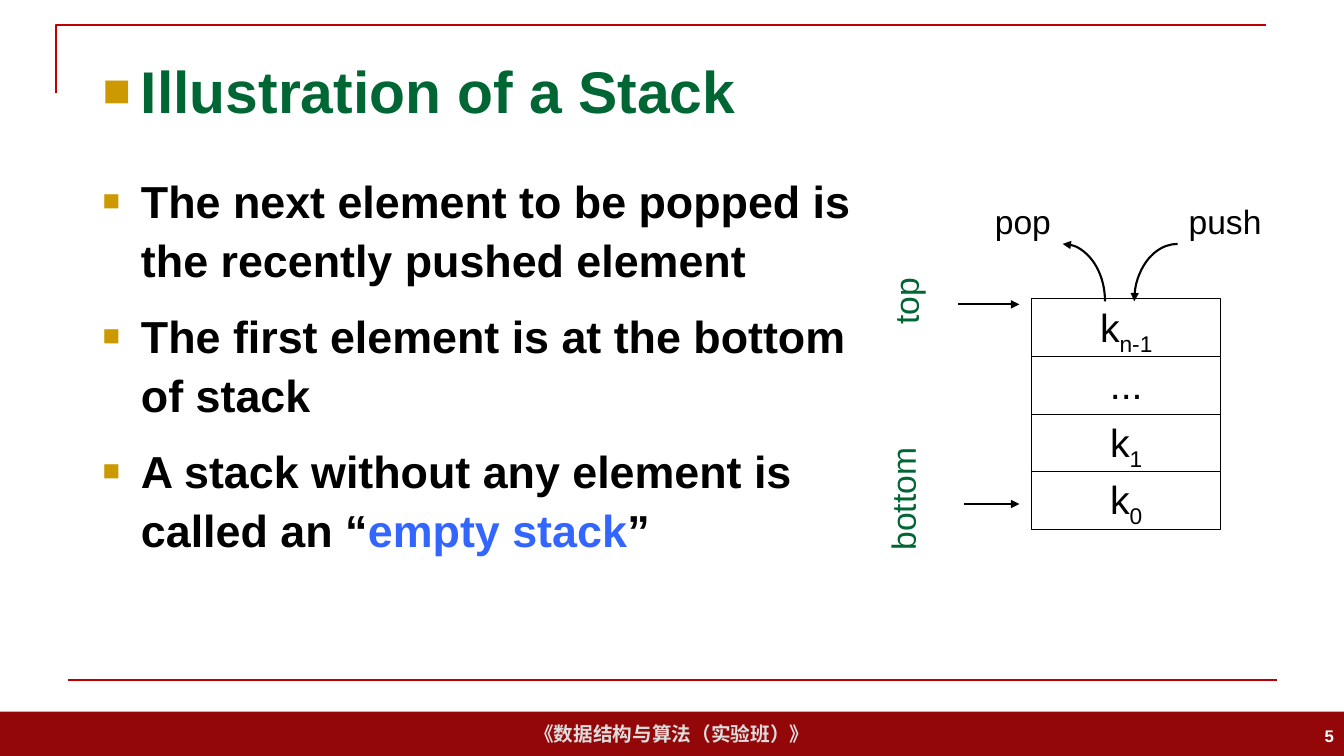
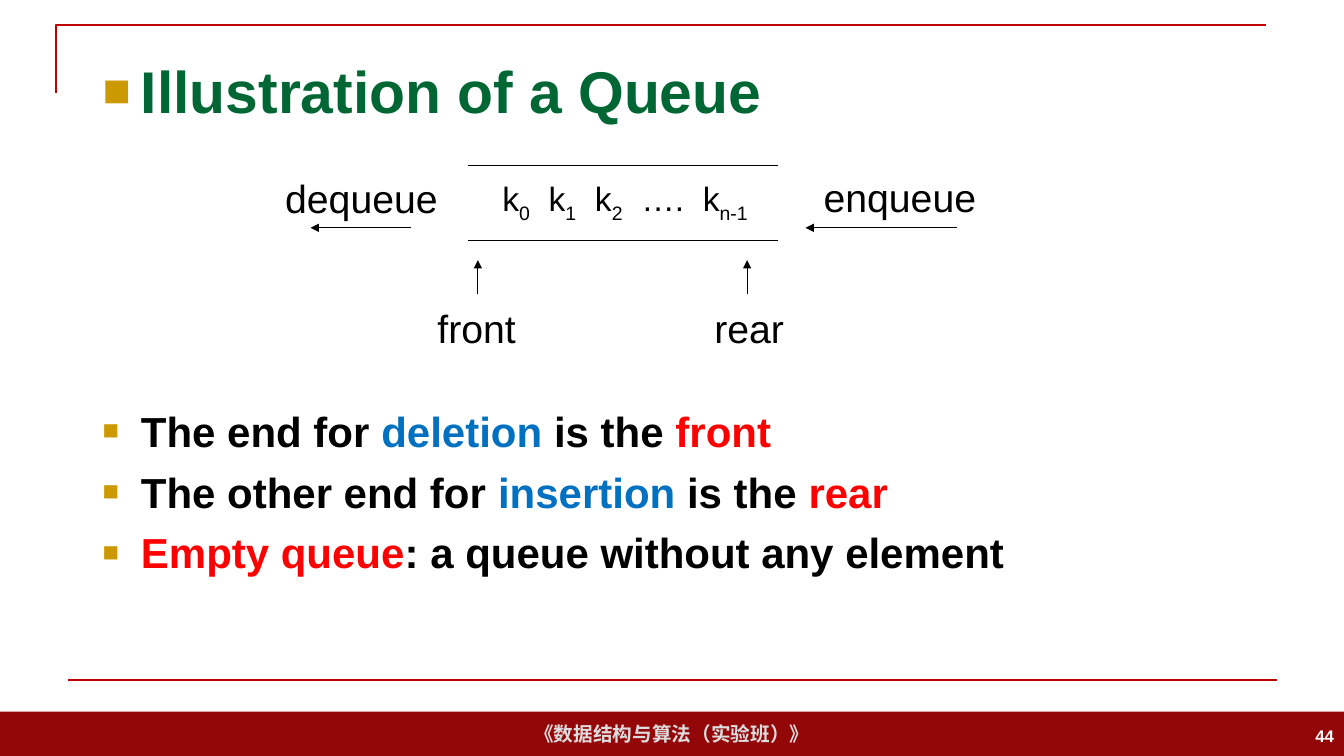
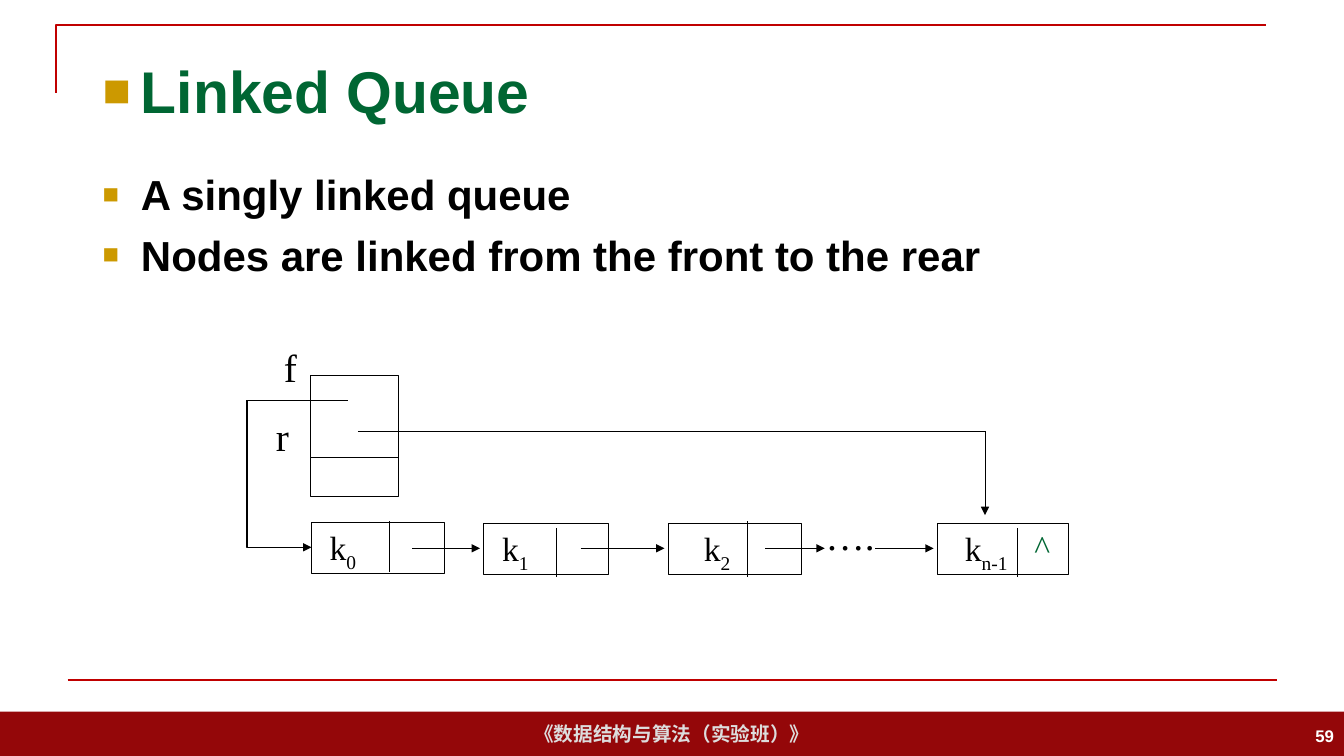
"""Build three slides that illustrate a stack, a queue and a linked queue."""

import dataclasses
import itertools

import pptx
import pptx.dml.color
import pptx.enum.shapes
import pptx.enum.text
import pptx.oxml.ns
import pptx.shapes.base
import pptx.shapes.connector
import pptx.slide
import pptx.text.text
import pptx.util
from lxml import etree

Inches = pptx.util.Inches
Pt = pptx.util.Pt
qn = pptx.oxml.ns.qn
ALIGN = pptx.enum.text.PP_ALIGN
ANCHOR = pptx.enum.text.MSO_ANCHOR
SHAPE = pptx.enum.shapes.MSO_SHAPE
CONNECTOR = pptx.enum.shapes.MSO_CONNECTOR

COLORS = {
    "white": "FFFFFF",
    "black": "000000",
    "band": "940709",
    "rule": "C00000",
    "footer": "DDDDDD",
    "bullet": "CC9900",
    "green": "006633",
    "periwinkle": "3366FF",
    "blue": "0070C0",
    "red": "FF0000",
}
COURSE = "《数据结构与算法（实验班）》"
SERIF = "Times New Roman"
SUBSCRIPT = "-25000"
LEAD = 0.1


@dataclasses.dataclass(frozen=True)
class Span:
    text: str
    color: str = ""
    subscript: bool = False
    tracking: int = 0


@dataclasses.dataclass(frozen=True)
class Style:
    size: float
    color: str = "black"
    font: str = "Arial"
    bold: bool = False
    align: ALIGN = ALIGN.LEFT
    anchor: ANCHOR = ANCHOR.TOP
    before: float = 0
    after: float = 0
    line_spacing: float = 1.0
    bullet_percent: int = 0
    wrap: bool = True


@dataclasses.dataclass(frozen=True)
class Area:
    left: float
    top: float
    width: float
    height: float

    def lengths(self) -> tuple[int, int, int, int]:
        return (Inches(self.left), Inches(self.top),
                Inches(self.width), Inches(self.height))


@dataclasses.dataclass(frozen=True)
class Segment:
    x1: float
    y1: float
    x2: float
    y2: float
    arrow: bool = False
    weight: float = 0.75
    color: str = "black"


@dataclasses.dataclass(frozen=True)
class Node:
    area: Area
    index: str
    text_inset: float
    divider: Segment


Line = list[Span]

TITLE = Style(42, "green", bold=True, anchor=ANCHOR.MIDDLE, bullet_percent=80)
FOOTER = Style(14, "footer", bold=True, align=ALIGN.CENTER,
               anchor=ANCHOR.MIDDLE, wrap=False)
PAGE_NUMBER = Style(12, "white", bold=True, align=ALIGN.RIGHT, anchor=ANCHOR.MIDDLE)
BODY = Style(30, bold=True, before=3, after=4.5, bullet_percent=65)
BODY_LOOSE = dataclasses.replace(BODY, size=32, before=6, after=6, line_spacing=1.1)


def label_style(size: float, align: ALIGN = ALIGN.LEFT, font: str = "Arial") -> Style:
    return Style(size, font=font, align=align, before=size * LEAD)


def rgb(name: str) -> pptx.dml.color.RGBColor:
    return pptx.dml.color.RGBColor.from_string(COLORS[name])


def add_bullet(paragraph: pptx.text.text._Paragraph, percent: int) -> None:
    properties = paragraph._p.get_or_add_pPr()
    properties.set("marL", str(Inches(0.38)))
    properties.set("indent", str(-Inches(0.38)))
    color = etree.SubElement(properties, qn("a:buClr"))
    etree.SubElement(color, qn("a:srgbClr"), val=COLORS["bullet"])
    etree.SubElement(properties, qn("a:buSzPct"), val=str(percent * 1000))
    etree.SubElement(properties, qn("a:buFont"), typeface="Arial")
    etree.SubElement(properties, qn("a:buChar"), char="■")


def write_paragraph(paragraph: pptx.text.text._Paragraph, line: Line, style: Style) -> None:
    paragraph.text = line[0].text
    for span in line[1:]:
        paragraph.add_run().text = span.text
    paragraph.alignment = style.align
    paragraph.line_spacing = style.line_spacing
    paragraph.space_before = Pt(style.before)
    paragraph.space_after = Pt(style.after)
    if style.bullet_percent:
        add_bullet(paragraph, style.bullet_percent)
    for run, span in zip(paragraph.runs, line):
        run.font.name = style.font
        run.font.size = Pt(style.size)
        run.font.bold = style.bold
        run.font.color.rgb = rgb(span.color or style.color)
        properties = run.font._element
        if span.subscript:
            properties.set("baseline", SUBSCRIPT)
        if span.tracking:
            properties.set("spc", str(span.tracking))


def write(box: pptx.shapes.base.BaseShape, lines: list[Line], style: Style) -> None:
    frame = box.text_frame
    frame.word_wrap = style.wrap
    frame.vertical_anchor = style.anchor
    for index, line in enumerate(lines):
        paragraph = frame.add_paragraph() if index else frame.paragraphs[0]
        write_paragraph(paragraph, line, style)


def add_text(page: pptx.slide.Slide, area: Area, lines: list[Line], style: Style,
             rotation: float = 0) -> None:
    box = page.shapes.add_textbox(*area.lengths())
    box.rotation = rotation
    write(box, lines, style)


def add_label(page: pptx.slide.Slide, area: Area, text: str, style: Style,
              rotation: float = 0) -> None:
    add_text(page, area, [[Span(text)]], style, rotation)


def add_box(page: pptx.slide.Slide, area: Area, fill: str = "white",
            outline: str = "black") -> pptx.shapes.base.BaseShape:
    box = page.shapes.add_shape(SHAPE.RECTANGLE, *area.lengths())
    box.shadow.inherit = False
    box.fill.solid()
    box.fill.fore_color.rgb = rgb(fill)
    box.line.color.rgb = rgb(outline)
    box.line.width = Pt(0.75)
    return box


def add_arrowhead(shape: pptx.shapes.base.BaseShape, end: str) -> None:
    outline = shape.element.spPr.find(qn("a:ln"))
    etree.SubElement(outline, qn(f"a:{end}End"), type="triangle")


def add_line(page: pptx.slide.Slide, segment: Segment,
             kind: CONNECTOR = CONNECTOR.STRAIGHT) -> pptx.shapes.connector.Connector:
    connector = page.shapes.add_connector(
        kind, Inches(segment.x1), Inches(segment.y1),
        Inches(segment.x2), Inches(segment.y2))
    connector.line.color.rgb = rgb(segment.color)
    connector.line.width = Pt(segment.weight)
    if segment.arrow:
        add_arrowhead(connector, "tail")
    etree.SubElement(connector.element.spPr, qn("a:effectLst"))
    return connector


def add_corner_arrow(page: pptx.slide.Slide, segment: Segment) -> None:
    width, height = segment.x2 - segment.x1, segment.y2 - segment.y1
    center_x, center_y = segment.x1 + width / 2, segment.y1 + height / 2
    turned = Segment(center_x + height / 2, center_y - width / 2,
                     center_x - height / 2, center_y + width / 2, arrow=True)
    properties = add_line(page, turned, CONNECTOR.ELBOW).element.spPr
    properties.find(qn("a:xfrm")).set("rot", "16200000")
    properties.find(qn("a:prstGeom")).set("prst", "bentConnector2")


def add_arc(page: pptx.slide.Slide, area: Area, start: int, end: int) -> None:
    arc = page.shapes.add_shape(SHAPE.ARC, *area.lengths())
    arc.adjustments[0] = start * 0.6
    arc.adjustments[1] = end * 0.6
    arc.shadow.inherit = False
    arc.fill.background()
    arc.line.color.rgb = rgb("black")
    arc.line.width = Pt(1.5)
    add_arrowhead(arc, "head")


def indexed(index: str) -> Line:
    return [Span("k"), Span(index, subscript=True)]


def add_page(deck: pptx.presentation.Presentation, title: str, number: int) -> pptx.slide.Slide:
    page = deck.slides.add_slide(deck.slide_layouts[6])
    band = add_box(page, Area(0, 7.06, 13.33, 0.44), "band", "band")
    band.line.fill.background()
    write(band, [[Span(COURSE)]], FOOTER)
    builder = page.shapes.build_freeform(Inches(0.56), Inches(0.92))
    builder.add_line_segments(
        [(Inches(0.56), Inches(0.25)), (Inches(12.56), Inches(0.25))], close=False)
    corner = builder.convert_to_shape()
    corner.shadow.inherit = False
    corner.fill.background()
    corner.line.color.rgb = rgb("rule")
    corner.line.width = Pt(1.5)
    add_line(page, Segment(0.67, 6.75, 12.67, 6.75, weight=1.5, color="rule"))
    add_label(page, Area(0.92, 0.4, 11.5, 0.99), title, TITLE)
    add_label(page, Area(10.33, 7.1, 3, 0.4), str(number), PAGE_NUMBER)
    return page


def add_stack_page(deck: pptx.presentation.Presentation) -> None:
    page = add_page(deck, "Illustration of a Stack", 5)
    add_text(page, Area(0.92, 1.62, 7.78, 5.15), [
        [Span("The next element to be popped is the recently pushed element")],
        [Span("The first element is at the bottom of stack")],
        [Span("A stack without any element is called an “"),
         Span("empty stack", "periwinkle"), Span("”")],
    ], BODY_LOOSE)
    cells = [indexed("0"), indexed("1"), [Span("...")], indexed("n-1")]
    for level, cell in enumerate(cells):
        box = add_box(page, Area(10.23, 4.67 - 0.57 * level, 1.88, 0.58))
        write(box, [cell], label_style(28, ALIGN.CENTER))
    side = Style(24, "green", wrap=False)
    add_label(page, Area(8.65, 2.73, 0.67, 0.51), "top", side, 270)
    add_label(page, Area(8.34, 4.69, 1.23, 0.51), "bottom", side, 270)
    add_line(page, Segment(9.5, 3.02, 10.11, 3.02, arrow=True, weight=1.5))
    add_line(page, Segment(9.56, 5, 10.11, 5, arrow=True, weight=1.5))
    add_arc(page, Area(10.12, 2.42, 0.84, 1.14), 270, 0)
    add_arc(page, Area(11.25, 2.42, 0.86, 1.14), 180, 270)
    add_label(page, Area(9.6, 1.94, 1.09, 0.5), "pop", label_style(24, ALIGN.CENTER))
    add_label(page, Area(11.64, 1.94, 1.02, 0.5), "push", label_style(24, ALIGN.CENTER))


def add_queue_page(deck: pptx.presentation.Presentation) -> None:
    page = add_page(deck, "Illustration of a Queue", 44)
    add_text(page, Area(0.92, 3.97, 11.5, 2.81), [
        [Span("The end for "), Span("deletion", "blue"),
         Span(" is the "), Span("front", "red")],
        [Span("The other end for "), Span("insertion", "blue"),
         Span(" is the "), Span("rear", "red")],
        [Span("Empty queue", "red"), Span(": a queue without any element")],
    ], BODY)
    for segment in (
        Segment(4.64, 1.64, 7.72, 1.64),
        Segment(4.64, 2.39, 7.72, 2.39),
        Segment(4.74, 2.92, 4.74, 2.58, arrow=True),
        Segment(7.41, 2.92, 7.41, 2.58, arrow=True),
        Segment(9.49, 2.26, 7.99, 2.26, arrow=True),
        Segment(4.08, 2.26, 3.08, 2.26, arrow=True),
    ):
        add_line(page, segment)
    add_label(page, Area(4.24, 2.97, 1, 0.67), "front", label_style(28))
    add_label(page, Area(6.93, 2.97, 1, 0.67), "rear", label_style(28, ALIGN.CENTER))
    add_label(page, Area(8.07, 1.67, 1.82, 0.57), "enqueue", label_style(28))
    add_label(page, Area(2.73, 1.68, 1.91, 0.57), "dequeue", label_style(28))
    gap = Span(" ", tracking=667)
    items = [indexed("0"), indexed("1"), indexed("2"), [Span("….")], indexed("n-1")]
    spaced = list(itertools.chain.from_iterable([gap, *item] for item in items))[1:]
    add_text(page, Area(4.64, 1.72, 3.12, 0.51), [spaced], label_style(24, ALIGN.CENTER))


def add_node(page: pptx.slide.Slide, node: Node) -> None:
    box = add_box(page, node.area)
    box.text_frame.margin_left = Inches(node.text_inset)
    write(box, [indexed(node.index)], label_style(24, font=SERIF))
    add_line(page, node.divider)


def add_linked_queue_page(deck: pptx.presentation.Presentation) -> None:
    page = add_page(deck, "Linked Queue", 59)
    add_text(page, Area(0.92, 1.62, 11.5, 5.15), [
        [Span("A singly linked queue")],
        [Span("Nodes are linked from the front to the rear")],
    ], BODY)
    for top in (4.12, 3.73):
        add_box(page, Area(3.08, top, 0.87, 0.81))
    for node in (
        Node(Area(3.09, 5.18, 1.32, 0.51), "0", 0.18, Segment(3.86, 5.17, 3.86, 5.67)),
        Node(Area(4.8, 5.19, 1.24, 0.51), "1", 0.18, Segment(5.52, 5.24, 5.52, 5.72)),
        Node(Area(6.63, 5.19, 1.32, 0.51), "2", 0.35, Segment(7.41, 5.17, 7.41, 5.72)),
        Node(Area(9.3, 5.19, 1.3, 0.51), "n-1", 0.27, Segment(10.09, 5.24, 10.09, 5.72)),
    ):
        add_node(page, node)
    for start, end in ((4.09, 4.76), (5.76, 6.59), (7.59, 8.18), (8.68, 9.26)):
        add_line(page, Segment(start, 5.44, end, 5.44, arrow=True))
    add_line(page, Segment(3.55, 4.28, 9.77, 4.28))
    add_line(page, Segment(9.77, 4.28, 9.77, 5.11, arrow=True))
    add_line(page, Segment(3.45, 3.97, 2.45, 3.97))
    add_corner_arrow(page, Segment(2.45, 3.97, 3.09, 5.43))
    pointer = label_style(28, ALIGN.CENTER, SERIF)
    add_label(page, Area(2.59, 3.36, 0.58, 0.57), "f", pointer)
    add_label(page, Area(2.51, 4.04, 0.58, 0.57), "r", pointer)
    add_label(page, Area(8.09, 5.02, 0.69, 0.57), "….",
              dataclasses.replace(pointer, align=ALIGN.LEFT, wrap=False))
    add_label(page, Area(10.16, 5.17, 0.36, 0.51), "^",
              Style(24, "green", SERIF, wrap=False))


def main() -> None:
    deck = pptx.Presentation()
    deck.slide_width = Inches(13.33)
    deck.slide_height = Inches(7.5)
    add_stack_page(deck)
    add_queue_page(deck)
    add_linked_queue_page(deck)
    deck.save("out.pptx")


if __name__ == "__main__":
    main()
